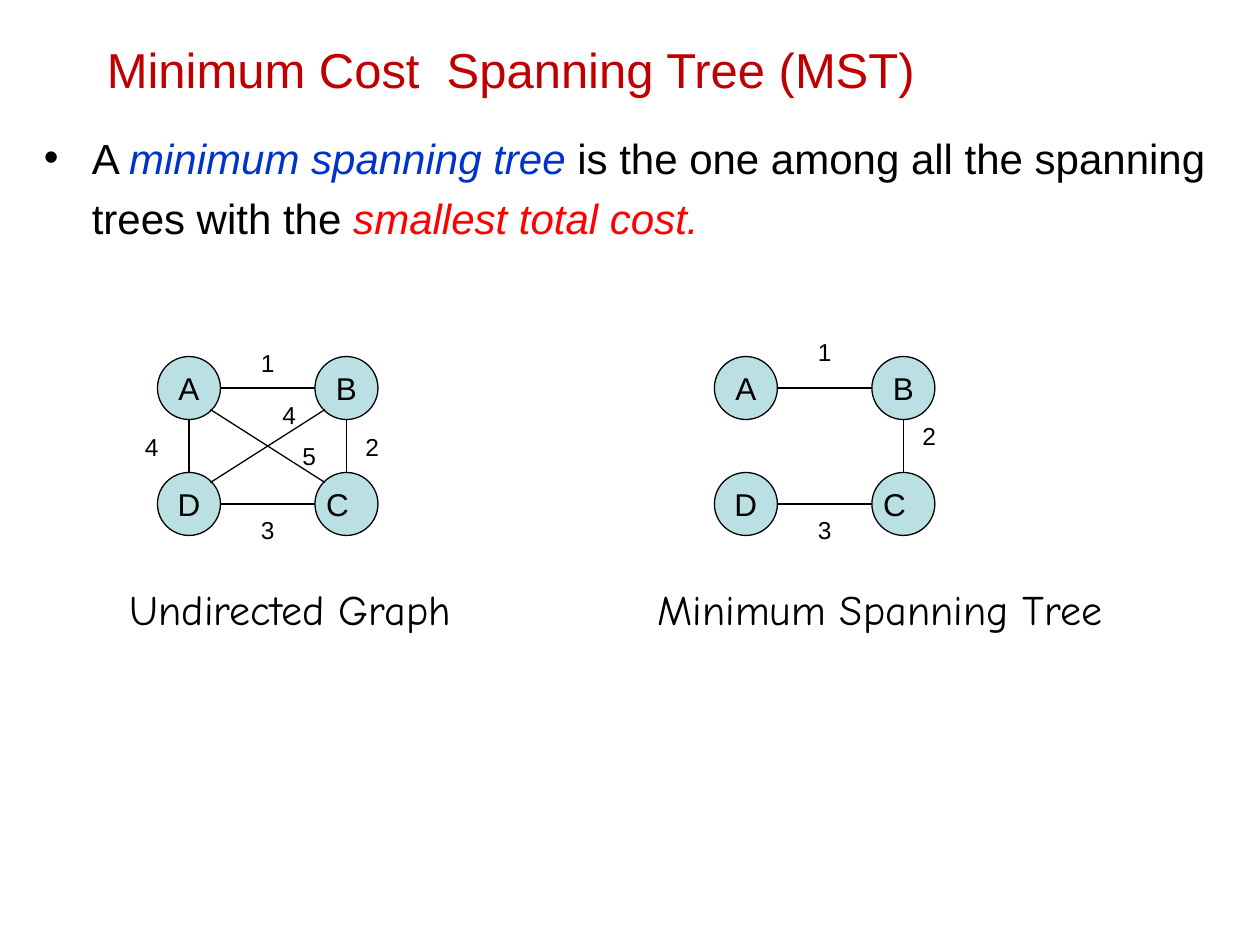
from dataclasses import dataclass

from lxml.etree import SubElement
from pptx import Presentation
from pptx.dml.color import RGBColor
from pptx.enum.shapes import MSO_CONNECTOR as Link, MSO_SHAPE as Kind
from pptx.enum.text import MSO_ANCHOR as Anchor, PP_ALIGN as Align
from pptx.oxml.ns import qn
from pptx.util import Inches, Pt

BLACK = RGBColor(0x00, 0x00, 0x00)
WHITE = RGBColor(0xFF, 0xFF, 0xFF)
TEAL = RGBColor(0xBB, 0xE0, 0xE3)
MAROON = RGBColor(0xC0, 0x00, 0x00)
BLUE = RGBColor(0x00, 0x33, 0xCC)
RED = RGBColor(0xFF, 0x00, 0x00)

SIZE = 0.5
TOP = 2.83
STEP_X, STEP_Y = 1.25, 0.92
# Column and row of each node, counted from the top left
NODES = {"A": (0, 0), "D": (0, 1), "C": (1, 1), "B": (1, 0)}


@dataclass(frozen=True)
class Run:
    text: str
    color: RGBColor = BLACK
    italic: bool = False


@dataclass(frozen=True)
class Cost:
    text: str
    x: float  # from the left edge of the graph
    y: float
    high: float = 0.25
    pad: float = 0.05


@dataclass(frozen=True)
class Graph:
    left: float
    edges: tuple[str, ...]
    costs: tuple[Cost, ...]
    name: str
    name_x: float
    name_w: float


GRAPHS = (
    Graph(1.25, ("AD", "AB", "DC", "BC", "DB", "AC"),
          (Cost("1", 0.75, 2.75), Cost("2", 1.58, 3.42),
           Cost("3", 0.75, 4.08), Cost("4", -0.17, 3.42),
           Cost("4", 0.92, 3.25, 0.08, 0.03),
           Cost("5", 1.08, 3.58, 0.08, 0.03)),
          "Undirected Graph", 0.93, 3.15),
    Graph(5.67, ("AB", "DC", "BC"),
          (Cost("1", 0.75, 2.67), Cost("2", 1.58, 3.33),
           Cost("3", 0.75, 4.08)),
          "Minimum Spanning Tree", 5.12, 3.88),
)


def put_text(shape, *runs: Run, size: float, font: str = "Arial",
             align: Align = Align.LEFT, anchor: Anchor = Anchor.TOP,
             wrap: bool = True, pad: float = 0.05, shift: float = 0,
             bullet: str = "", lines: float = 1.0) -> None:
    """Fill the shape with one paragraph; shift moves it to the right."""
    frame = shape.text_frame
    frame.word_wrap = wrap
    frame.vertical_anchor = anchor
    frame.margin_top = frame.margin_bottom = Inches(pad)
    frame.margin_left = Inches(0.1 + shift)
    frame.margin_right = Inches(0.1 - shift)
    para = frame.paragraphs[0]
    para.alignment = align
    para.line_spacing = lines
    if bullet:
        props = para._p.get_or_add_pPr()
        props.set("marL", str(Inches(0.38)))
        props.set("indent", str(-Inches(0.38)))
        SubElement(props, qn("a:buFont"), typeface="Arial")
        SubElement(props, qn("a:buChar"), char=bullet)
    for item in runs:
        run = para.add_run()
        run.text = item.text
        run.font.name = font
        run.font.size = Pt(size)
        run.font.italic = item.italic
        run.font.color.rgb = item.color


def add_box(slide, x: float, y: float, wide: float, high: float):
    return slide.shapes.add_textbox(
        Inches(x), Inches(y), Inches(wide), Inches(high))


def add_form(slide, kind: Kind, x: float, y: float, wide: float, high: float,
             fill: RGBColor, line: RGBColor):
    form = slide.shapes.add_shape(
        kind, Inches(x), Inches(y), Inches(wide), Inches(high))
    form.shadow.inherit = False
    form.fill.solid()
    form.fill.fore_color.rgb = fill
    form.line.color.rgb = line
    form.line.width = Pt(0.75)
    return form


def center(graph: Graph, node: str) -> tuple[float, float]:
    col, row = NODES[node]
    return (graph.left + col * STEP_X + SIZE / 2,
            TOP + row * STEP_Y + SIZE / 2)


def add_edge(slide, graph: Graph, edge: str) -> None:
    """Join the rims of two nodes."""
    x1, y1 = center(graph, edge[0])
    x2, y2 = center(graph, edge[1])
    way_x = (x2 > x1) - (x2 < x1)
    way_y = (y2 > y1) - (y2 < y1)
    reach = 0.17 if way_x and way_y else SIZE / 2
    dx, dy = way_x * reach, way_y * reach
    line = slide.shapes.add_connector(
        Link.STRAIGHT, Inches(x1 + dx), Inches(y1 + dy),
        Inches(x2 - dx), Inches(y2 - dy))
    line.line.color.rgb = BLACK
    line.line.width = Pt(0.75)
    SubElement(line._element.spPr, qn("a:effectLst"))


def add_graph(slide, graph: Graph) -> None:
    style = dict(align=Align.CENTER, anchor=Anchor.MIDDLE, wrap=False)
    for node in NODES:
        x, y = center(graph, node)
        disc = add_form(slide, Kind.OVAL, x - SIZE / 2, y - SIZE / 2,
                        SIZE, SIZE, TEAL, BLACK)
        put_text(disc, Run(node), size=18,
                 shift=-0.07 if node == "C" else 0, **style)
    for edge in graph.edges:
        add_edge(slide, graph, edge)
    for cost in graph.costs:
        tag = add_form(slide, Kind.RECTANGLE, graph.left + cost.x, cost.y,
                       0.25, cost.high, WHITE, WHITE)
        put_text(tag, Run(cost.text), size=14, pad=cost.pad, **style)


def main() -> None:
    deck = Presentation()
    deck.slide_width, deck.slide_height = Inches(10), Inches(7.5)
    slide = deck.slides.add_slide(deck.slide_layouts[6])

    put_text(add_box(slide, 0.75, 0.17, 8.5, 0.75),
             Run("Minimum Cost  Spanning Tree (MST)", MAROON),
             size=28, anchor=Anchor.MIDDLE)
    put_text(add_box(slide, 0.25, 0.92, 9.42, 1.33),
             Run("A "),
             Run("minimum spanning tree", BLUE, True),
             Run(" is the one among all the spanning trees with the "),
             Run("smallest total cost.", RED, True),
             size=24, bullet="•", lines=1.2)
    for graph in GRAPHS:
        add_graph(slide, graph)
    for graph in GRAPHS:
        put_text(add_box(slide, graph.name_x, 4.58, graph.name_w, 0.5),
                 Run(graph.name), size=24, font="Comic Neue")
    deck.save("out.pptx")


if __name__ == "__main__":
    main()
